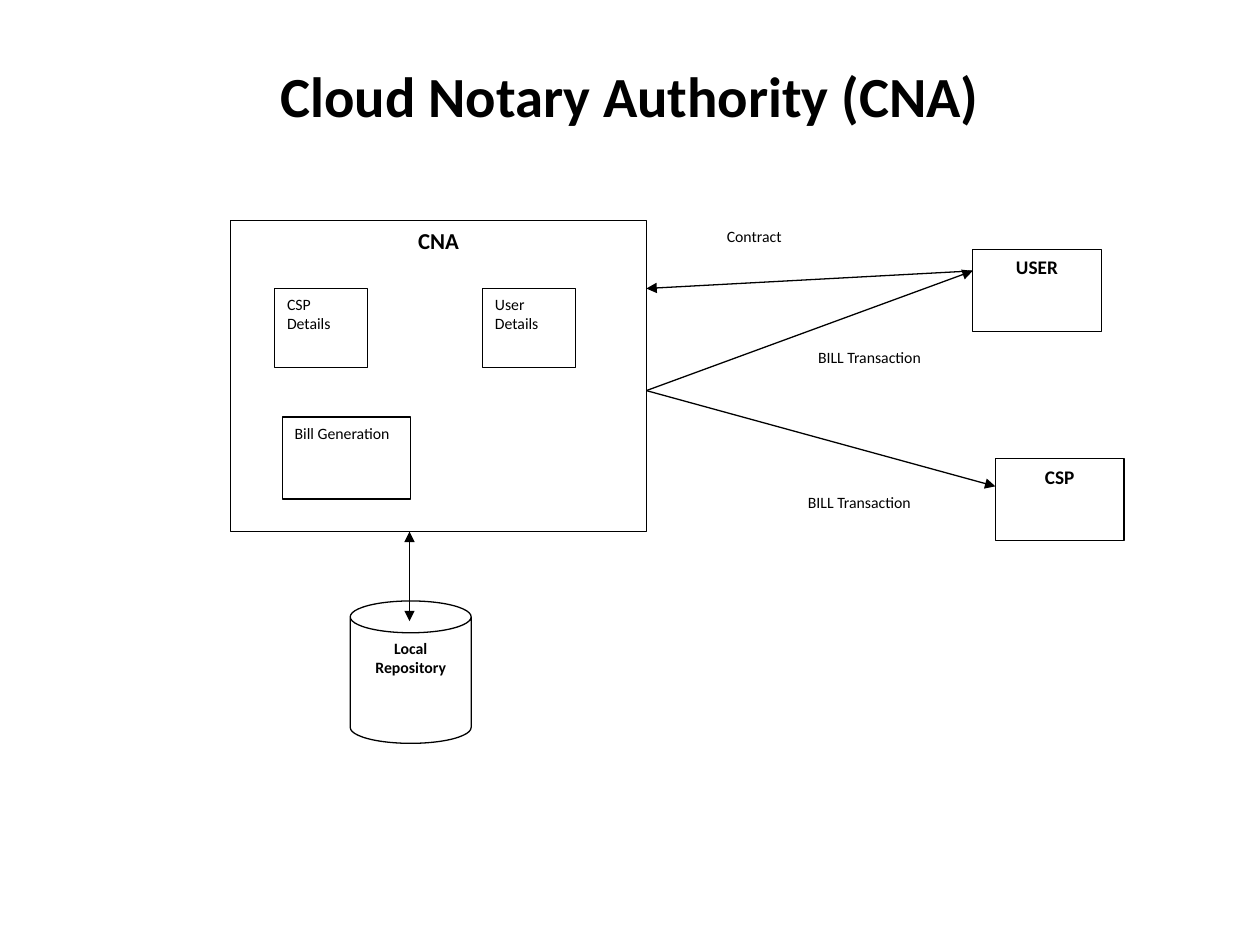
import pptx
import pptx.util
import pptx.dml.color
import pptx.enum.shapes
import pptx.enum.text
import pptx.oxml.ns
import lxml.etree

SHAPE = pptx.enum.shapes.MSO_SHAPE
ANCHOR = pptx.enum.text.MSO_ANCHOR
ALIGN = pptx.enum.text.PP_ALIGN


def rgb(hex_color):
    return pptx.dml.color.RGBColor.from_string(hex_color)


def write(tf, text, size=9, bold=False, align=ALIGN.LEFT, anchor=ANCHOR.TOP,
          color="000000", font="Calibri", after=10):
    tf.word_wrap = True
    tf.vertical_anchor = anchor
    p = tf.paragraphs[0]
    p.alignment = align
    p.space_after = pptx.util.Pt(after)
    r = p.add_run()
    r.text = text
    r.font.name = font
    r.font.size = pptx.util.Pt(size)
    r.font.bold = bold
    r.font.color.rgb = rgb(color)


class Diagram:
    """Draws on one slide over a grid of 100 columns by 75 rows."""

    ink = "000000"
    paper = "FFFFFF"
    weight = pptx.util.Pt(0.75)

    def __init__(self, prs):
        self.s = prs.slides.add_slide(prs.slide_layouts[5])
        self.col = prs.slide_width / 100
        self.row = prs.slide_height / 75

    def place(self, x, y, w, h):
        return (round(x * self.col), round(y * self.row),
                round(w * self.col), round(h * self.row))

    def title(self, text, *box):
        sp = self.s.shapes.title
        sp.left, sp.top, sp.width, sp.height = self.place(*box)
        tf = sp.text_frame
        tf.margin_top = tf.margin_bottom = 0
        tf.auto_size = pptx.enum.text.MSO_AUTO_SIZE.NONE
        write(tf, text, size=32.4, bold=True, align=ALIGN.CENTER,
              anchor=ANCHOR.MIDDLE, after=0)

    def box(self, text, *box, kind=SHAPE.RECTANGLE, line=ink, **style):
        sp = self.s.shapes.add_shape(kind, *self.place(*box))
        sp.shadow.inherit = False
        sp.fill.solid()
        sp.fill.fore_color.rgb = rgb(self.paper)
        sp.line.color.rgb = rgb(line)
        sp.line.width = self.weight
        write(sp.text_frame, text, **style)
        return sp

    def heading(self, text, *box, size=11, **style):
        return self.box(text, *box, size=size, bold=True, align=ALIGN.CENTER, **style)

    def label(self, text, *box, **style):
        return self.box(text, *box, line=self.paper, **style)

    def arrow(self, start, end, both=False):
        sp = self.s.shapes.add_connector(
            pptx.enum.shapes.MSO_CONNECTOR.STRAIGHT, *self.place(*start, *end))
        sp.line.color.rgb = rgb(self.ink)
        sp.line.width = self.weight
        ln = sp.line._get_or_add_ln()
        for tag in ("a:headEnd", "a:tailEnd") if both else ("a:tailEnd",):
            lxml.etree.SubElement(ln, pptx.oxml.ns.qn(tag), type="triangle")
        lxml.etree.SubElement(ln.getparent(), pptx.oxml.ns.qn("a:effectLst"))


def main():
    prs = pptx.Presentation()
    prs.slide_width = pptx.util.Inches(10)
    prs.slide_height = pptx.util.Inches(7.5)
    d = Diagram(prs)

    d.title("Cloud Notary Authority (CNA)", 5, 6.3, 90, 2.5)
    d.heading("CNA", 18.3, 17.5, 33, 24.7, size=13)
    for text, x in (("CSP Details", 21.8), ("User Details", 38.3)):
        d.box(text, x, 22.9, 7.4, 6.3)
    d.box("Bill Generation", 22.4, 33.1, 10.2, 6.5)
    for text, x, y in (("USER", 77.2, 19.8), ("CSP", 79, 36.4)):
        d.heading(text, x, y, 10.2, 6.5)
    can = d.heading("Local Repository", 27.8, 47.7, 9.6, 11.3, size=9, kind=SHAPE.CAN)
    can.adjustments[0] = 0.263

    d.label("Contract", 56.7, 17.5, 9.6, 4)
    for x, y in ((63.6, 27.1), (62.8, 38.6)):
        d.label("BILL Transaction", x, y, 10.8, 6, align=ALIGN.CENTER)

    user, billing = (77.2, 21.5), (51.3, 31)
    d.arrow(user, (51.3, 22.9))
    d.arrow(billing, user)
    d.arrow(billing, (79, 38.6))
    d.arrow((32.5, 42.2), (32.5, 49.3), both=True)
    prs.save("out.pptx")


if __name__ == "__main__":
    main()
